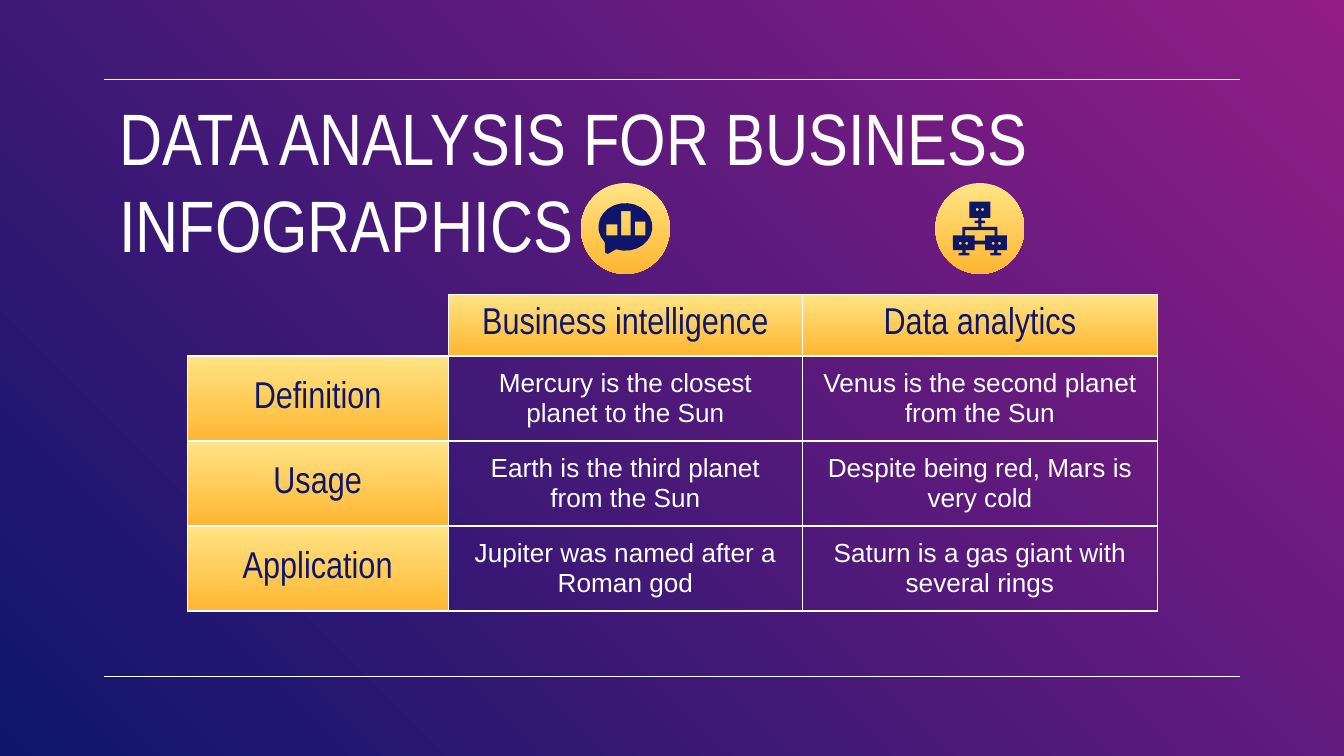
"""Build a slide with a comparison table of business intelligence and data analytics."""
from math import cos, radians, sin

from lxml.etree import SubElement
from pptx import Presentation
from pptx.dml.color import RGBColor
from pptx.enum.shapes import MSO_CONNECTOR, MSO_SHAPE
from pptx.enum.text import MSO_ANCHOR, PP_ALIGN
from pptx.oxml import parse_xml
from pptx.oxml.ns import nsdecls, qn
from pptx.util import Cm, Pt

WHITE = RGBColor(0xFF, 0xFF, 0xFF)
NAVY = RGBColor(0x0E, 0x16, 0x6C)
MAGENTA = RGBColor(0x92, 0x1D, 0x87)
LIGHT_GOLD = RGBColor(0xFF, 0xE4, 0x85)
GOLD = RGBColor(0xFF, 0xB6, 0x32)

TITLE = "DATA ANALYSIS FOR BUSINESS INFOGRAPHICS"
ROWS = [
    ("", "Business intelligence", "Data analytics"),
    ("Definition", "Mercury is the closest planet to the Sun", "Venus is the second planet from the Sun"),
    ("Usage", "Earth is the third planet from the Sun", "Despite being red, Mars is very cold"),
    ("Application", "Jupiter was named after a Roman god", "Saturn is a gas giant with several rings"),
]
TITLE_FONT = {"name": "Arial Narrow", "size": Pt(39), "color": WHITE}
HEADING_FONT = {"name": "Arial Narrow", "size": Pt(20), "color": NAVY}
BODY_FONT = {"name": "Arial", "size": Pt(14), "color": WHITE}
TITLE_FORMAT = {"word_wrap": True, "vertical_anchor": MSO_ANCHOR.TOP}
CELL_FORMAT = {"margin_left": Cm(0.25), "margin_right": Cm(0.25), "vertical_anchor": MSO_ANCHOR.MIDDLE}
HEADER_INSET, BODY_INSET = 0.16, 0.21

SLIDE_WIDTH, SLIDE_HEIGHT = 25.4, 14.29
RULE_LEFT, RULE_TOPS = 1.96, (1.5, 12.79)
TABLE_LEFT, TABLE_TOP, ROW_HEIGHT = 3.54, 5.56, 1.07
COLUMN_WIDTHS = (4.93, 6.7, 6.7)
DISC_WIDTH, DISC_HEIGHT, DISC_MIDDLE = 1.68, 1.72, 4.32

BUBBLE_TAIL = [(-0.33, 0.48), (-0.38, 0.46)]
BUBBLE_BARS = [(-0.36, -0.08, -0.15), (-0.08, -0.33, 0.1), (0.18, -0.13, 0.38)]
BAR_BOTTOM = 0.13
NETWORK_HALF = [
    (0.2, -0.51), (0.2, -0.2), (0.03, -0.2), (0.03, -0.15), (0.1, -0.15), (0.1, -0.1),
    (0.03, -0.1), (0.03, -0.03), (0.33, -0.03), (0.33, 0.13), (0.51, 0.13), (0.51, 0.41),
    (0.33, 0.41), (0.33, 0.46), (0.4, 0.46), (0.4, 0.51), (0.2, 0.51), (0.2, 0.46),
    (0.27, 0.46), (0.27, 0.41), (0.1, 0.41), (0.1, 0.3),
]
NETWORK_GAP_HALF = [(0.28, 0.03), (0.28, 0.13), (0.1, 0.13), (0.1, 0.23)]
SCREEN_DOTS = [(0.05, -0.36), (0.25, 0.28), (0.37, 0.28)]


def arc(center, radius_x, radius_y, angles):
    return [
        (center[0] + radius_x * cos(radians(angle)), center[1] + radius_y * sin(radians(angle)))
        for angle in angles
    ]


def mirrored(half):
    return half + [(-x, y) for x, y in reversed(half)]


def bubble_contours():
    bars = [
        [(left, top), (right, top), (right, BAR_BOTTOM), (left, BAR_BOTTOM)]
        for left, top, right in BUBBLE_BARS
    ]
    return [arc((0, -0.03), 0.51, 0.45, range(140, 476, 15)) + BUBBLE_TAIL] + bars


def network_contours():
    dots = [arc((side * x, y), 0.03, 0.03, range(0, 360, 60)) for x, y in SCREEN_DOTS for side in (-1, 1)]
    return [mirrored(NETWORK_HALF), mirrored(NETWORK_GAP_HALF)] + dots


def fill_gradient(fill, first, last, angle):
    fill.gradient()
    fill.gradient_angle = angle
    for stop, color in zip(fill.gradient_stops, (first, last)):
        stop.color.rgb = color


def set_format(target, values):
    for name, value in values.items():
        setattr(target, name, value)


def write_text(text_frame, text, font_format, alignment):
    paragraph = text_frame.paragraphs[0]
    paragraph.alignment = alignment
    run = paragraph.add_run()
    run.text = text
    for name, value in font_format.items():
        if name == "color":
            run.font.color.rgb = value
        else:
            setattr(run.font, name, value)


def set_borders(cell, visible_sides):
    properties = cell._tc.get_or_add_tcPr()
    for position, side in enumerate("LRTB"):
        paint = f'<a:solidFill><a:srgbClr val="{WHITE}"/></a:solidFill>' if side in visible_sides else "<a:noFill/>"
        border = parse_xml(f'<a:ln{side} {nsdecls("a")} w="{Pt(0.75)}">{paint}</a:ln{side}>')
        properties.insert(position, border)


def add_rules(slide):
    for top in RULE_TOPS:
        rule = slide.shapes.add_connector(
            MSO_CONNECTOR.STRAIGHT, Cm(RULE_LEFT), Cm(top), Cm(SLIDE_WIDTH - RULE_LEFT), Cm(top)
        )
        rule.line.color.rgb = WHITE
        rule.line.width = Pt(0.75)
        SubElement(rule._element.spPr, qn("a:effectLst"))


def add_title(slide):
    text_frame = slide.shapes.add_textbox(Cm(2), Cm(1.5), Cm(21.4), Cm(1.6)).text_frame
    set_format(text_frame, TITLE_FORMAT)
    set_format(text_frame, {f"margin_{side}": Cm(0.25) for side in ("left", "top", "right", "bottom")})
    write_text(text_frame, TITLE, TITLE_FONT, PP_ALIGN.LEFT)


def add_comparison_table(slide):
    table = slide.shapes.add_table(
        len(ROWS), len(COLUMN_WIDTHS), Cm(TABLE_LEFT), Cm(TABLE_TOP),
        Cm(sum(COLUMN_WIDTHS)), Cm(ROW_HEIGHT * len(ROWS)),
    ).table
    table.first_row = table.horz_banding = False
    for column, width in zip(table.columns, COLUMN_WIDTHS):
        column.width = Cm(width)
    for row_index, texts in enumerate(ROWS):
        table.rows[row_index].height = Cm(ROW_HEIGHT)
        inset = Cm(BODY_INSET if row_index else HEADER_INSET)
        for column_index, text in enumerate(texts):
            cell = table.cell(row_index, column_index)
            set_format(cell, {**CELL_FORMAT, "margin_top": inset, "margin_bottom": inset})
            is_heading = row_index == 0 or column_index == 0
            if text and is_heading:
                fill_gradient(cell.fill, LIGHT_GOLD, GOLD, 270)
            else:
                cell.fill.background()
            if text:
                write_text(cell.text_frame, text, HEADING_FONT if is_heading else BODY_FONT, PP_ALIGN.CENTER)
            set_borders(cell, "LRTB" if text else "RB")


def add_icon(slide, center, contours):
    disc = slide.shapes.add_shape(
        MSO_SHAPE.OVAL, Cm(center - DISC_WIDTH / 2), Cm(DISC_MIDDLE - DISC_HEIGHT / 2),
        Cm(DISC_WIDTH), Cm(DISC_HEIGHT),
    )
    fill_gradient(disc.fill, LIGHT_GOLD, GOLD, 270)
    placed = [[(Cm(center + x), Cm(DISC_MIDDLE + y)) for x, y in contour] for contour in contours]
    builder = slide.shapes.build_freeform(*placed[0][0])
    builder.add_line_segments(placed[0][1:], close=True)
    for contour in placed[1:]:
        builder.move_to(*contour[0])
        builder.add_line_segments(contour[1:], close=True)
    symbol = builder.convert_to_shape()
    symbol.fill.solid()
    symbol.fill.fore_color.rgb = NAVY
    for shape in (disc, symbol):
        shape.line.fill.background()
        shape.shadow.inherit = False


def main():
    presentation = Presentation()
    presentation.slide_width, presentation.slide_height = Cm(SLIDE_WIDTH), Cm(SLIDE_HEIGHT)
    slide = presentation.slides.add_slide(presentation.slide_layouts[6])
    fill_gradient(slide.background.fill, MAGENTA, NAVY, 225)
    add_rules(slide)
    add_title(slide)
    add_comparison_table(slide)
    for column_index, contours in enumerate((bubble_contours(), network_contours()), start=1):
        center = TABLE_LEFT + sum(COLUMN_WIDTHS[:column_index]) + COLUMN_WIDTHS[column_index] / 2
        add_icon(slide, center, contours)
    presentation.save("out.pptx")


if __name__ == "__main__":
    main()
